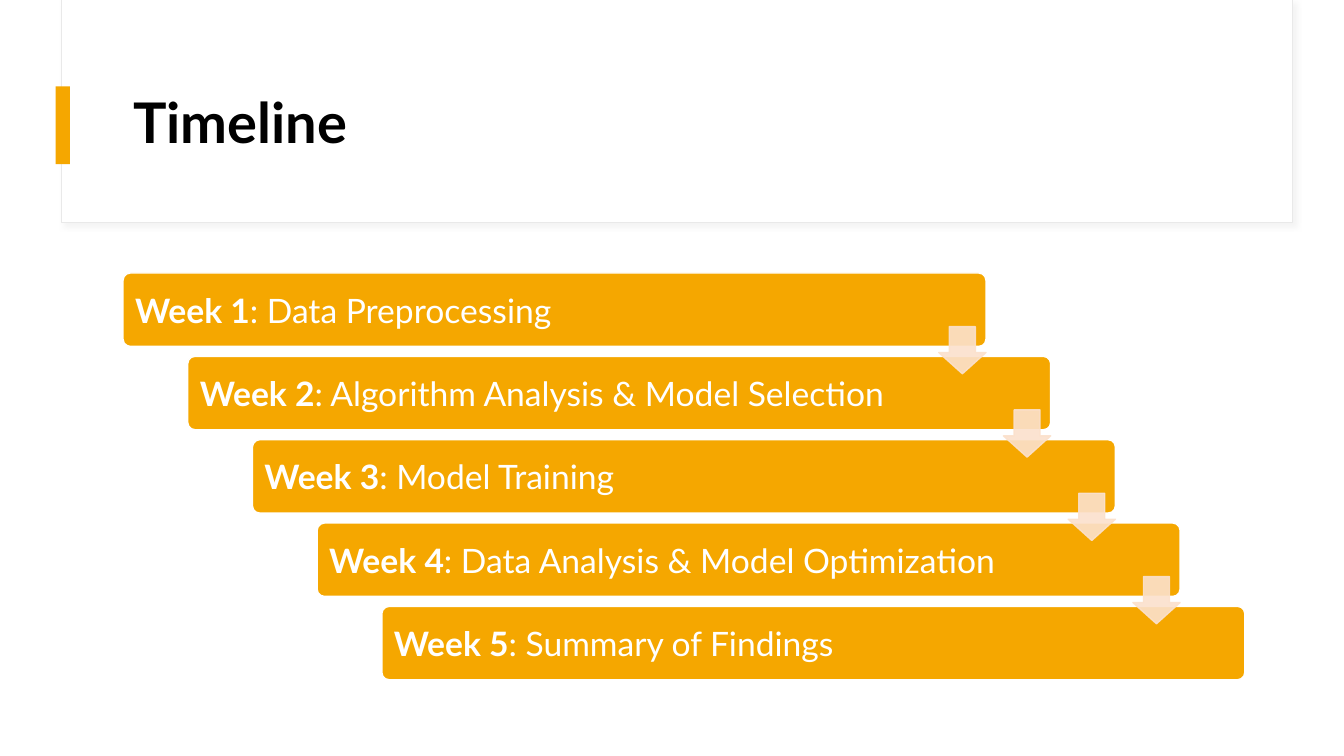
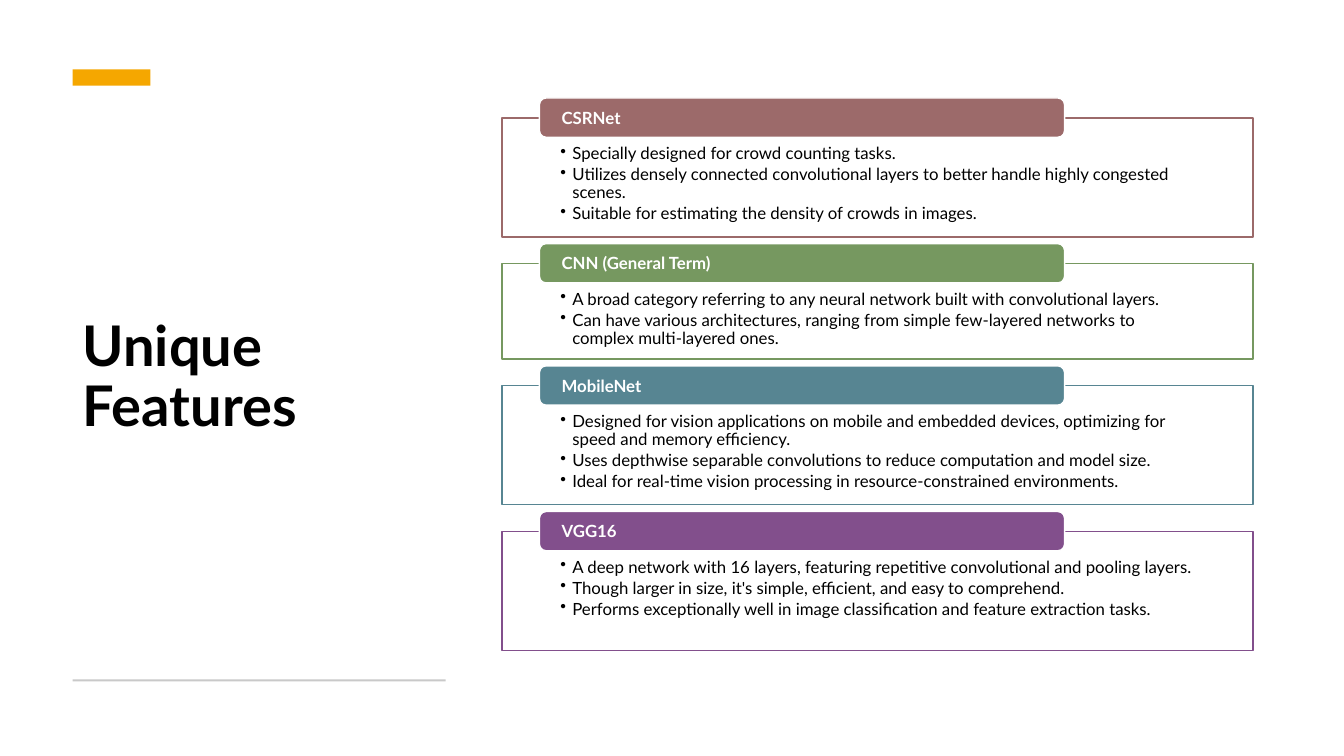
from lxml import etree
from pptx import Presentation
from pptx import util as u
from pptx.dml.color import RGBColor
from pptx.enum import shapes, text
from pptx.oxml.ns import qn

BLACK = RGBColor(0x00, 0x00, 0x00)
WHITE = RGBColor(0xFF, 0xFF, 0xFF)
AMBER = RGBColor(0xF5, 0xA7, 0x00)
PEACH = RGBColor(0xFB, 0xE1, 0xCC)
FRAME = RGBColor(0xE9, 0xE9, 0xE9)
SHADOW = RGBColor(0xD9, 0xD9, 0xD9)
RULE = RGBColor(0xC9, 0xC9, 0xC9)
ROSE = RGBColor(0x9C, 0x6A, 0x6A)
GREEN = RGBColor(0x76, 0x98, 0x60)
TEAL = RGBColor(0x57, 0x85, 0x92)
PURPLE = RGBColor(0x82, 0x4F, 0x8C)

WEEKS = [
    "Data Preprocessing",
    "Algorithm Analysis & Model Selection",
    "Model Training",
    "Data Analysis & Model Optimization",
    "Summary of Findings",
]

FEATURES = [
    ("CSRNet", ROSE, [
        "Specially designed for crowd counting tasks.",
        "Utilizes densely connected convolutional layers to better handle highly congested scenes.",
        "Suitable for estimating the density of crowds in images.",
    ]),
    ("CNN (General Term)", GREEN, [
        "A broad category referring to any neural network built with convolutional layers.",
        "Can have various architectures, ranging from simple few-layered networks to "
        "complex multi-layered ones.",
    ]),
    ("MobileNet", TEAL, [
        "Designed for vision applications on mobile and embedded devices, optimizing for "
        "speed and memory efficiency.",
        "Uses depthwise separable convolutions to reduce computation and model size.",
        "Ideal for real-time vision processing in resource-constrained environments.",
    ]),
    ("VGG16", PURPLE, [
        "A deep network with 16 layers, featuring repetitive convolutional and pooling layers.",
        "Though larger in size, it's simple, efficient, and easy to comprehend.",
        "Performs exceptionally well in image classification and feature extraction tasks.",
    ]),
]


class Deck:
    """Holds the presentation style and the slide being drawn."""

    font = "Lato"

    def __init__(self):
        self.deck = Presentation()
        self.deck.slide_width = u.Inches(13.33)
        self.deck.slide_height = u.Inches(7.5)
        self.page = None

    def new_page(self):
        self.page = self.deck.slides.add_slide(self.deck.slide_layouts[5])

    def style(self, span, size, color, bold=False):
        span.font.name = self.font
        span.font.size = u.Pt(size)
        span.font.color.rgb = color
        span.font.bold = bold

    def title(self, words, left, top, width, height):
        box = self.page.shapes.title
        box.left, box.top, box.width, box.height = map(u.Cm, (left, top, width, height))
        frame = box.text_frame
        frame.text = words
        frame.auto_size = text.MSO_AUTO_SIZE.NONE
        frame.vertical_anchor = text.MSO_ANCHOR.MIDDLE
        para = frame.paragraphs[0]
        para.alignment = text.PP_ALIGN.LEFT
        para.line_spacing = 0.9
        self.style(para.runs[0], 40, BLACK, True)
        box.element.getparent().append(box.element)

    def box(self, kind, left, top, width, height, fill, line=None, weight=1):
        box = self.page.shapes.add_shape(kind, *map(u.Cm, (left, top, width, height)))
        box.shadow.inherit = False
        box.fill.solid()
        box.fill.fore_color.rgb = fill
        if line is None:
            box.line.fill.background()
        else:
            box.line.color.rgb = line
            box.line.width = u.Pt(weight)
        return box

    def rect(self, *place, **look):
        return self.box(shapes.MSO_SHAPE.RECTANGLE, *place, **look)

    def header_frame(self):
        frame = self.rect(1.55, 0, 31.01, 5.61, fill=WHITE, line=FRAME, weight=0.75)
        effects = frame.element.spPr.find(qn("a:effectLst"))
        shadow = etree.SubElement(effects, qn("a:outerShdw"), blurRad=str(u.Pt(4)),
                                  dist=str(u.Pt(3)), dir="2700000")
        color = etree.SubElement(shadow, qn("a:srgbClr"), val=str(SHADOW))
        etree.SubElement(color, qn("a:alpha"), val="30000")

    def frame(self, box, left, top, right, bottom, anchor):
        frame = box.text_frame
        frame.word_wrap = True
        frame.vertical_anchor = anchor
        frame.margin_left, frame.margin_top = u.Cm(left), u.Cm(top)
        frame.margin_right, frame.margin_bottom = u.Cm(right), u.Cm(bottom)
        return frame

    def bar(self, parts, left, top, width, height, fill, size, inset, radius=0.17):
        bar = self.box(shapes.MSO_SHAPE.ROUNDED_RECTANGLE, left, top, width, height,
                       fill, WHITE)
        bar.adjustments[0] = radius
        frame = self.frame(bar, inset, 0, inset, 0, text.MSO_ANCHOR.MIDDLE)
        para = frame.paragraphs[0]
        para.alignment = text.PP_ALIGN.LEFT
        for words, bold in parts:
            span = para.add_run()
            span.text = words
            self.style(span, size, WHITE, bold)

    def arrow(self, left, top, side):
        arrow = self.box(shapes.MSO_SHAPE.DOWN_ARROW, left, top, side, side, PEACH, PEACH)
        arrow.adjustments[0], arrow.adjustments[1] = 0.55, 0.45
        for color in arrow.element.spPr.iter(qn("a:srgbClr")):
            etree.SubElement(color, qn("a:alpha"), val="90000")

    def bullet_box(self, items, left, top, width, height, color):
        box = self.rect(left, top, width, height, fill=WHITE, line=color)
        frame = self.frame(box, 1.47, 0.69, 1.47, 0.23, text.MSO_ANCHOR.TOP)
        frame.text = "\n".join(items)
        for para in frame.paragraphs:
            para.alignment = text.PP_ALIGN.LEFT
            para.line_spacing = 0.9
            para.space_after = u.Pt(2)
            self.style(para.runs[0], 12, BLACK)
            layout = para._p.get_or_add_pPr()
            layout.set("marL", str(u.Cm(0.3)))
            layout.set("indent", str(u.Cm(-0.3)))
            etree.SubElement(layout, qn("a:buChar"), char="•")


def timeline(deck):
    """Draw the staircase of weekly steps."""
    deck.new_page()
    deck.header_frame()
    deck.rect(1.4, 2.18, 0.36, 1.96, fill=AMBER)
    deck.title("Timeline", 3.1, 1.52, 28.24, 3.28)
    across, down = 1.63, 2.1
    for step, task in enumerate(WEEKS):
        parts = [(f"Week {step + 1}", True), (f": {task}", False)]
        deck.bar(parts, 3.1 + step * across, 6.88 + step * down, 21.74, 1.85,
                 AMBER, 24, 0.25, 0.1)
    for step in range(len(WEEKS) - 1):
        deck.arrow(23.65 + step * across, 8.23 + step * down, 1.19)


def unique_features(deck):
    """Draw the stack of labelled feature lists."""
    deck.new_page()
    deck.title("Unique Features", 1.83, 2.67, 9.4, 13.74)
    deck.rect(1.83, 1.75, 1.96, 0.41, fill=AMBER)
    deck.rect(1.83, 17.12, 9.4, 0.05, fill=RULE)
    top = 2.97
    for name, color, items in FEATURES:
        height = 1.23 + 0.59 * len(items)
        deck.bullet_box(items, 12.65, top, 18.92, height, color)
        deck.bar([(name, True)], 13.59, top - 0.5, 13.23, 0.99, color, 12, 0.51)
        top += height + 0.67


def main():
    """Build and save the deck."""
    deck = Deck()
    timeline(deck)
    unique_features(deck)
    deck.deck.save("out.pptx")


if __name__ == "__main__":
    main()
